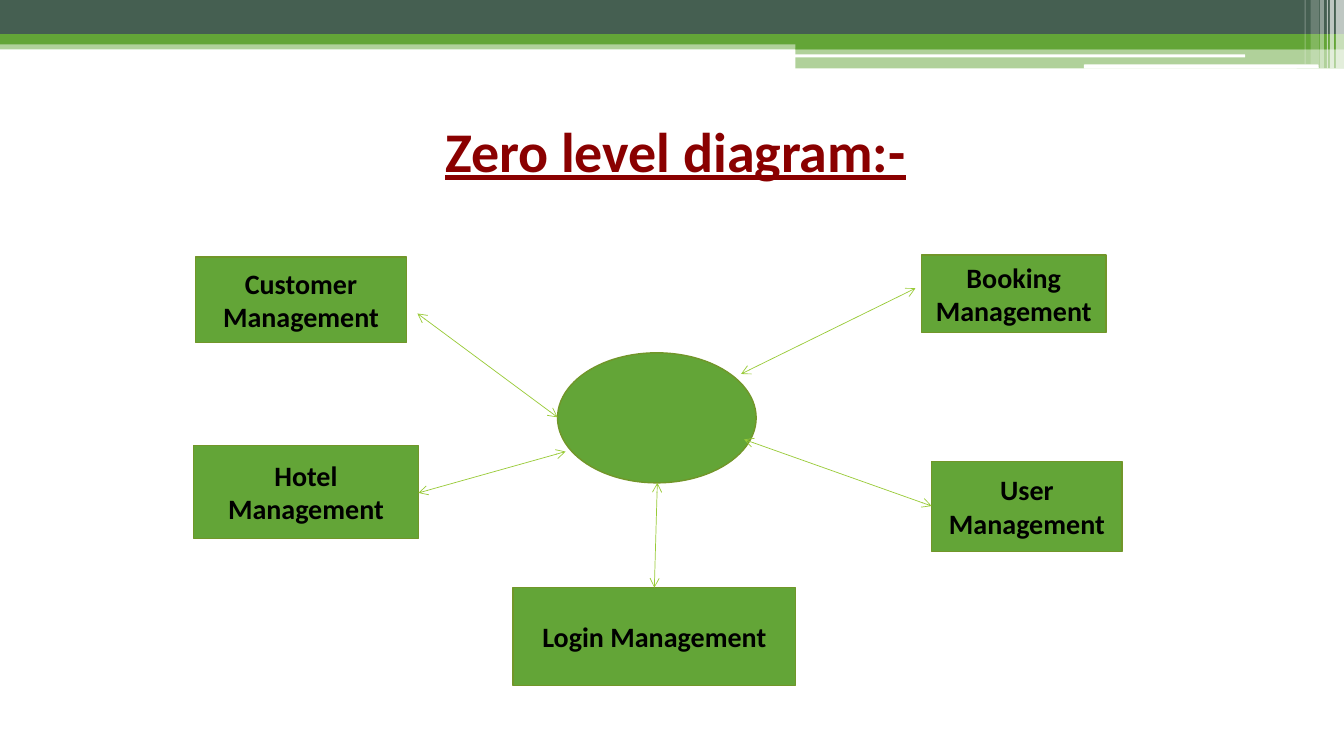
from dataclasses import dataclass

from lxml.etree import SubElement
from pptx import Presentation
from pptx.dml.color import RGBColor
from pptx.enum.shapes import MSO_CONNECTOR, MSO_SHAPE
from pptx.enum.text import MSO_ANCHOR, PP_ALIGN
from pptx.oxml.ns import qn
from pptx.util import Inches, Pt

COLORS = {
    "slate": "455F51",
    "green": "63A537",
    "edge": "719629",
    "lime": "99CB38",
    "white": "FFFFFF",
    "red": "8A0000",
    "black": "000000",
}
WIDE, HIGH = 13.33, 7.5
SPLIT = 7.89  # where the right part of the header starts


@dataclass
class Band:
    left: float
    top: float
    width: float
    height: float
    color: str
    alpha: int = 100
    kind: MSO_SHAPE = MSO_SHAPE.RECTANGLE


@dataclass
class Node:
    left: float
    top: float
    width: float
    height: float
    label: str = ""
    kind: MSO_SHAPE = MSO_SHAPE.RECTANGLE


@dataclass
class Link:
    start: tuple[float, float]
    end: tuple[float, float]


BANDS = [
    Band(0, 0.4, WIDE, 0.09, "green", 50),
    Band(0, 0, WIDE, 0.34, "slate"),
    Band(0, 0.34, WIDE, 0.1, "green"),
    Band(SPLIT, 0.39, WIDE - SPLIT, 0.1, "green"),
    Band(SPLIT, 0.48, WIDE - SPLIT, 0.2, "green", 50),
    Band(7.88, 0.54, 4.47, 0.03, "white", kind=MSO_SHAPE.ROUNDED_RECTANGLE),
    Band(10.75, 0.64, 2.33, 0.04, "white", kind=MSO_SHAPE.ROUNDED_RECTANGLE),
    # Pale stripes in the corner
    Band(13.25, 0, 0.08, 0.68, "white", 65),
    Band(13.19, 0, 0.04, 0.68, "white", 65),
    Band(13.16, 0, 0.01, 0.68, "white", 60),
    Band(13.09, 0, 0.04, 0.68, "white", 40),
    Band(13, 0, 0.08, 0.64, "white", 20),
    Band(12.94, 0, 0.01, 0.64, "white", 30),
]

NODES = [
    Node(1.94, 2.55, 2.09, 0.85, "Customer Management"),
    Node(9.14, 2.53, 1.83, 0.77, "Booking Management"),
    Node(1.92, 4.42, 2.23, 0.92, "Hotel Management"),
    Node(9.24, 4.58, 1.89, 0.89, "User Management"),
    Node(5.09, 5.83, 2.8, 0.97, "Login Management"),
    Node(5.53, 3.5, 1.97, 1.29, kind=MSO_SHAPE.OVAL),
]

LINKS = [
    Link((4.14, 3.11), (5.53, 4.14)),
    Link((5.61, 4.48), (4.15, 4.89)),
    Link((9.08, 2.86), (7.35, 3.71)),
    Link((9.24, 5.02), (7.38, 4.36)),
    Link((6.52, 4.79), (6.49, 5.83)),
]


def get_rgb(name: str) -> RGBColor:
    return RGBColor.from_string(COLORS[name])


def put_text(shape, text: str, *, size: float, color: str,
             bold: bool = True, under: bool = False) -> None:
    frame = shape.text_frame
    frame.word_wrap = True
    frame.vertical_anchor = MSO_ANCHOR.MIDDLE
    para = frame.paragraphs[0]
    para.alignment = PP_ALIGN.CENTER
    run = para.add_run()
    run.text = text
    font = run.font
    font.name, font.size = "Calibri", Pt(size)
    font.bold, font.underline = bold, under
    font.color.rgb = get_rgb(color)


def add_form(slide, item: Band | Node, color: str):
    shape = slide.shapes.add_shape(
        item.kind, Inches(item.left), Inches(item.top),
        Inches(item.width), Inches(item.height))
    shape.shadow.inherit = False
    shape.fill.solid()
    shape.fill.fore_color.rgb = get_rgb(color)
    return shape


def draw_band(slide, band: Band) -> None:
    shape = add_form(slide, band, band.color)
    shape.line.fill.background()
    if band.alpha < 100:
        tint = shape.fill._xPr.find(".//" + qn("a:srgbClr"))
        SubElement(tint, qn("a:alpha"), val=str(band.alpha * 1000))


def draw_node(slide, node: Node) -> None:
    shape = add_form(slide, node, "green")
    shape.line.color.rgb = get_rgb("edge")
    shape.line.width = Pt(1)
    if node.label:
        put_text(shape, node.label, size=20, color="black")


def draw_link(slide, link: Link) -> None:
    ends = [Inches(value) for value in (*link.start, *link.end)]
    line = slide.shapes.add_connector(MSO_CONNECTOR.STRAIGHT, *ends)
    line.line.color.rgb = get_rgb("lime")
    line.line.width = Pt(0.5)
    stroke = line.line._get_or_add_ln()
    for tag in ("a:headEnd", "a:tailEnd"):
        SubElement(stroke, qn(tag), type="arrow")
    SubElement(line._element.spPr, qn("a:effectLst"))


def main() -> None:
    deck = Presentation()
    deck.slide_width, deck.slide_height = Inches(WIDE), Inches(HIGH)
    slide = deck.slides.add_slide(deck.slide_layouts[5])

    # Header bands
    for band in BANDS:
        draw_band(slide, band)

    # Title
    title = slide.shapes.title
    title.left, title.top = Inches(0.7), Inches(0.9)
    title.width, title.height = Inches(12), Inches(1.17)
    put_text(title, "Zero level diagram:-", size=40, color="red", under=True)

    # Diagram
    for node in NODES:
        draw_node(slide, node)
    for link in LINKS:
        draw_link(slide, link)

    deck.save("out.pptx")


if __name__ == "__main__":
    main()
